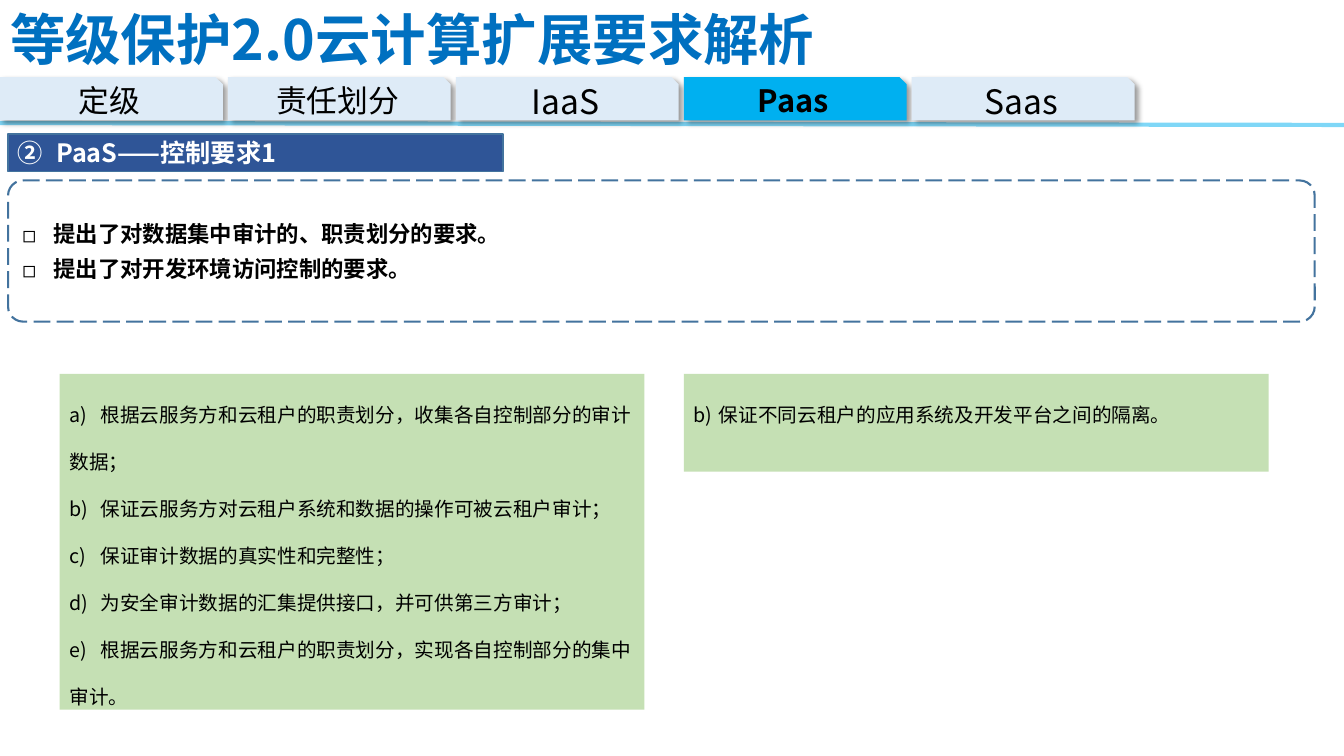
from lxml.etree import SubElement
from pptx import Presentation
from pptx.dml.color import RGBColor
from pptx.enum.dml import MSO_LINE
from pptx.enum.shapes import MSO_CONNECTOR, MSO_SHAPE
from pptx.enum.text import MSO_ANCHOR, PP_ALIGN
from pptx.oxml.ns import qn
from pptx.util import Inches, Pt

FONT = "Noto Sans CJK SC"
BLACK, WHITE, NAVY, STEEL = "000000", "FFFFFF", "2F5597", "43739E"
SKY, PALE, GREEN, TITLE_BLUE = "00B0F0", "DEEBF7", "C5E0B4", "0070C0"


def color(value):
    return RGBColor.from_string(value)


def add_xml(parent, tag, **attributes):
    return SubElement(parent, qn(tag), {k: str(v) for k, v in attributes.items()})


def write(paragraph, text, size=14, ink=BLACK, bold=False, align=PP_ALIGN.LEFT,
          spacing=None, after=None, hang=0, bullet=None, number=None, start=1, tab=None):
    """Fill one paragraph; hang and tab are in inches."""
    paragraph.alignment = align
    if spacing:
        paragraph.line_spacing = spacing
    if after:
        paragraph.space_after = Pt(after)
    properties = paragraph._p.get_or_add_pPr()
    if hang:
        properties.set("marL", str(Inches(hang)))
        properties.set("indent", str(-Inches(hang)))
    if bullet:
        add_xml(properties, "a:buFont", typeface=FONT)
        add_xml(properties, "a:buChar", char=bullet)
    elif number:
        add_xml(properties, "a:buAutoNum", type=number, startAt=start)
    if tab:
        stops = add_xml(properties, "a:tabLst")
        add_xml(stops, "a:tab", pos=Inches(tab), algn="l")
    run = paragraph.add_run()
    run.text = text
    run.font.size, run.font.bold = Pt(size), bold
    run.font.color.rgb = color(ink)
    run.font.name = FONT
    add_xml(run._r.get_or_add_rPr(), "a:ea", typeface=FONT)


class SlideBuilder:
    """Places elements by percent of the slide's width and height."""

    def __init__(self, presentation):
        self.width, self.height = presentation.slide_width, presentation.slide_height
        self.slide = presentation.slides.add_slide(presentation.slide_layouts[5])

    def across(self, share):
        return round(self.width * share / 100)

    def down(self, share):
        return round(self.height * share / 100)

    def place(self, left, top, width, height):
        return self.across(left), self.down(top), self.across(width), self.down(height)

    def title(self, text, box):
        shape = self.slide.shapes.title
        shape.left, shape.top, shape.width, shape.height = self.place(*box)
        shape.text_frame.vertical_anchor = MSO_ANCHOR.MIDDLE
        write(shape.text_frame.paragraphs[0], text, size=39.6, ink=TITLE_BLUE,
              bold=True, align=PP_ALIGN.JUSTIFY)

    def rule(self, start, end, ink, weight, opacity):
        line = self.slide.shapes.add_connector(
            MSO_CONNECTOR.STRAIGHT, self.across(start[0]), self.down(start[1]),
            self.across(end[0]), self.down(end[1]))
        line.line.color.rgb, line.line.width = color(ink), Pt(weight)
        properties = line._element.spPr
        add_xml(properties.find(".//" + qn("a:srgbClr")), "a:alpha", val=opacity * 1000)
        add_xml(properties, "a:effectLst")

    def panel(self, box, texts, kind=MSO_SHAPE.RECTANGLE, fill=None, outline=None,
              weight=1, anchor=MSO_ANCHOR.MIDDLE, **style):
        shape = self.slide.shapes.add_shape(kind, *self.place(*box))
        shape.shadow.inherit = False
        if fill:
            shape.fill.solid()
            shape.fill.fore_color.rgb = color(fill)
        else:
            shape.fill.background()
        if outline:
            shape.line.color.rgb, shape.line.width = color(outline), Pt(weight)
        else:
            shape.line.fill.background()
        frame = shape.text_frame
        frame.word_wrap, frame.vertical_anchor = True, anchor
        for index, text in enumerate(texts):
            paragraph = frame.add_paragraph() if index else frame.paragraphs[0]
            write(paragraph, text, **style)
        return shape

    def tab(self, box, text, size, active):
        shape = self.panel(box, [text], MSO_SHAPE.SNIP_1_RECTANGLE, size=size,
                           fill=SKY if active else PALE, bold=active, align=PP_ALIGN.CENTER)
        effects = shape._element.spPr.find(qn("a:effectLst"))
        shadow = add_xml(effects, "a:outerShdw", blurRad=Pt(4), dist=Pt(3),
                         dir=45 * 60000, algn="tl", rotWithShape=0)
        tint = add_xml(shadow, "a:srgbClr", val=BLACK)
        add_xml(tint, "a:alpha", val=40000)


def main():
    presentation = Presentation()
    presentation.slide_width, presentation.slide_height = Inches(13.33), Inches(7.5)
    builder = SlideBuilder(presentation)

    # Title and navigation tabs
    builder.rule((0, 16.27), (100, 16.53), SKY, 3, 50)
    builder.title("等级保护2.0云计算扩展要求解析", (0, 0.13, 64.59, 10))
    tab_pitch = 16.96
    tabs = [("定级", 22), ("责任划分", 22), ("IaaS", 24), ("Paas", 22), ("Saas", 24)]
    for index, (label, size) in enumerate(tabs):
        builder.tab((index * tab_pitch, 10.2, 16.58, 5.73), label, size, label == "Paas")

    # Section heading
    builder.panel((0.6, 17.73, 36.83, 4.93), ["PaaS——控制要求1"], fill=NAVY,
                  outline=STEEL, size=18, ink=WHITE, bold=True, align=PP_ALIGN.JUSTIFY,
                  hang=0.38, number="circleNumDbPlain", start=2)

    # Summary in a dashed frame
    summary = builder.panel(
        (0.6, 23.87, 97.22, 18.67),
        ["提出了对数据集中审计的、职责划分的要求。", "提出了对开发环境访问控制的要求。"],
        MSO_SHAPE.ROUNDED_RECTANGLE, outline=STEEL, weight=1.5, size=16, bold=True,
        align=PP_ALIGN.JUSTIFY, after=6, hang=0.31, bullet="◻")
    summary.adjustments[0] = 0.106
    summary.line.dash_style = MSO_LINE.LONG_DASH

    # Requirement clauses
    clauses = [
        "根据云服务方和云租户的职责划分，收集各自控制部分的审计数据；",
        "保证云服务方对云租户系统和数据的操作可被云租户审计；",
        "保证审计数据的真实性和完整性；",
        "为安全审计数据的汇集提供接口，并可供第三方审计；",
        "根据云服务方和云租户的职责划分，实现各自控制部分的集中审计。",
    ]
    lettered = [f"{letter})\t{clause}" for letter, clause in zip("abcde", clauses)]
    clause_style = dict(fill=GREEN, anchor=MSO_ANCHOR.TOP, spacing=2.0)
    builder.panel((4.43, 49.47, 43.51, 44.4), lettered, tab=0.31, **clause_style)
    builder.panel((3 * tab_pitch, 49.47, 43.51, 12.93),
                  ["保证不同云租户的应用系统及开发平台之间的隔离。"],
                  hang=0.25, number="alphaLcParenR", start=2, **clause_style)

    presentation.save("out.pptx")


if __name__ == "__main__":
    main()
